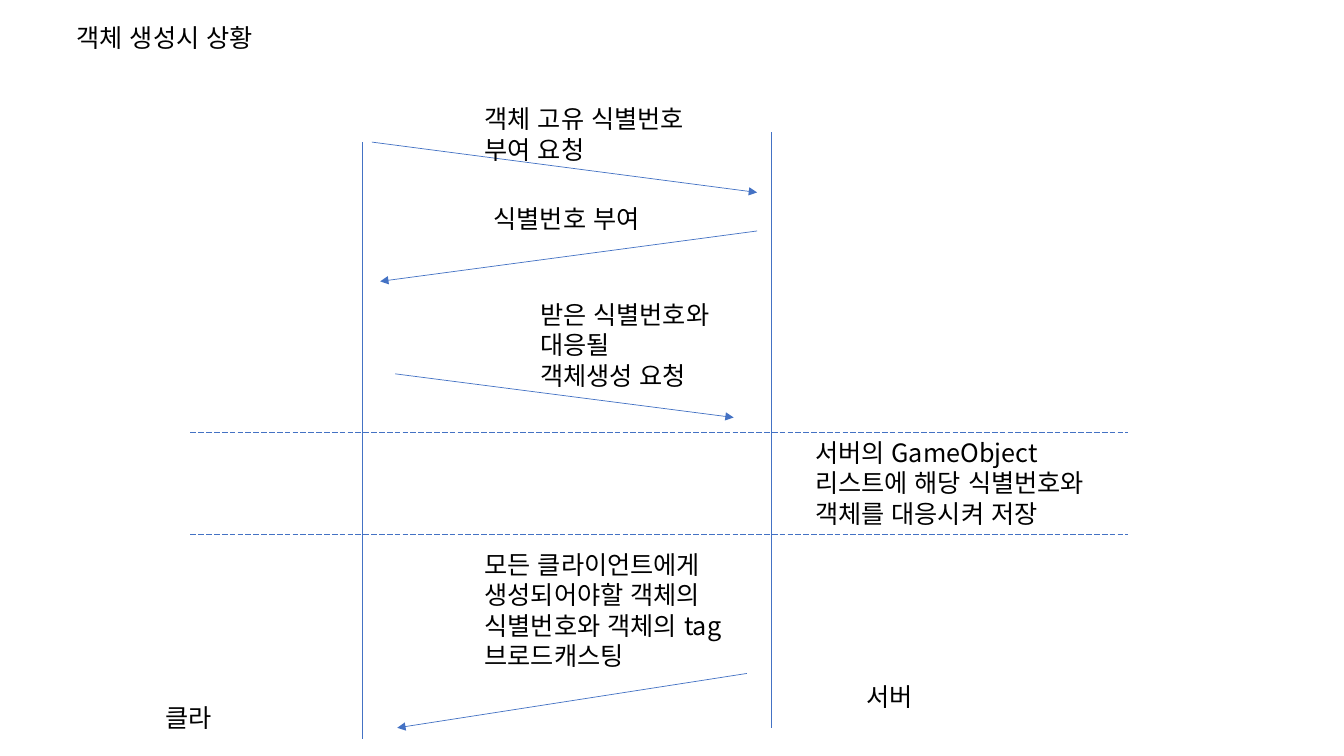
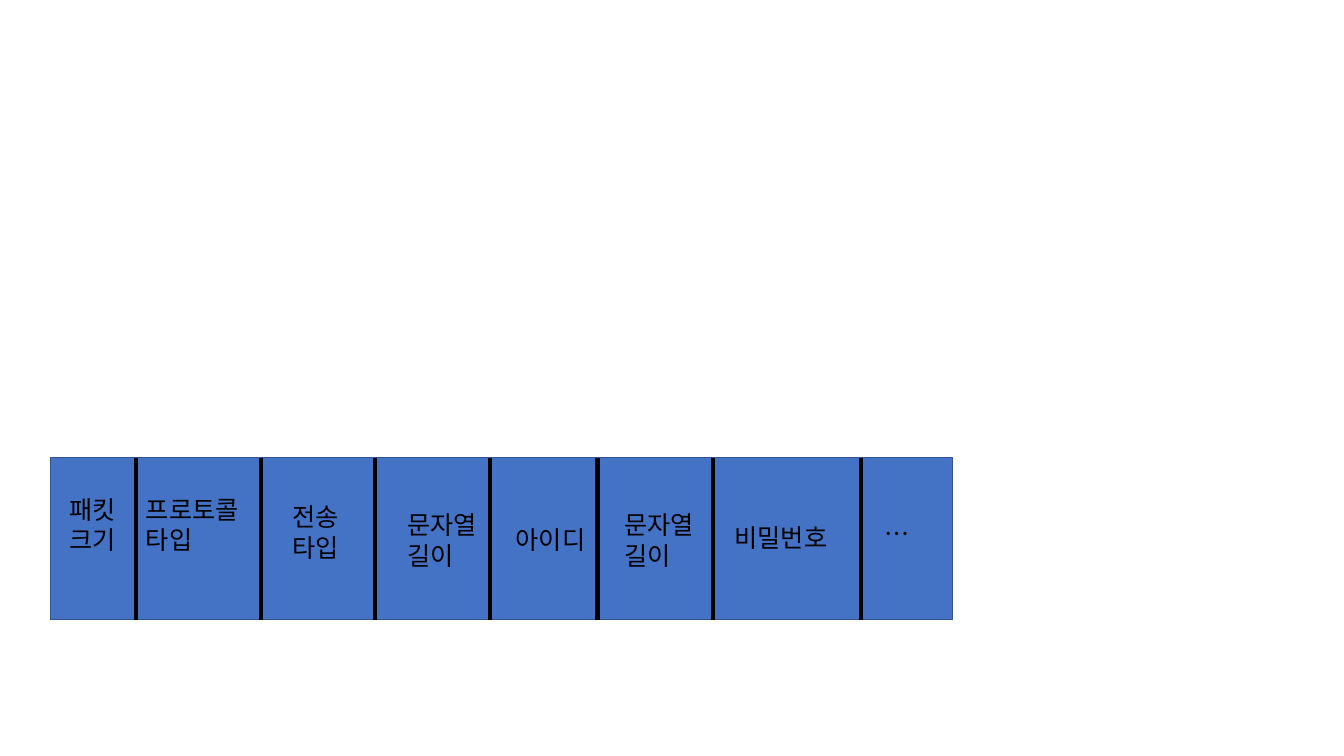
import pptx
import pptx.util
import pptx.dml.color
import pptx.enum.dml
import pptx.enum.lang
import pptx.enum.shapes
import pptx.enum.text
import pptx.oxml.ns
import lxml.etree

Cm, Pt = pptx.util.Cm, pptx.util.Pt
RGBColor = pptx.dml.color.RGBColor
BLUE = RGBColor(0x44, 0x72, 0xC4)
DARK_BLUE = RGBColor(0x32, 0x54, 0x91)
BLACK = RGBColor(0, 0, 0)
FONT = "Noto Sans CJK KR"
TEXT_FORMAT = {"name": FONT, "size": Pt(18),
               "language_id": pptx.enum.lang.MSO_LANGUAGE_ID.KOREAN}
FRAME_FORMAT = {"word_wrap": True,
                "auto_size": pptx.enum.text.MSO_AUTO_SIZE.SHAPE_TO_FIT_TEXT}
LINE_HEIGHT, PADDING = 0.76, 0.25


def apply(target, values):
    """Set every attribute in a dict of format values."""
    for name, value in values.items():
        setattr(target, name, value)


def add_child(parent, tag, **attributes):
    """Append a DrawingML element."""
    lxml.etree.SubElement(parent, pptx.oxml.ns.qn(tag), attributes)


def add_label(slide, box, text, x, y, width, lines=1):
    """Place text at an offset from the corner of the box."""
    left, top = box[:2]
    sp = slide.shapes.add_textbox(Cm(left + x), Cm(top + y), Cm(width),
                                  Cm(lines * LINE_HEIGHT + PADDING))
    tf = sp.text_frame
    apply(tf, FRAME_FORMAT)
    tf.text = text
    for p in tf.paragraphs:
        for r in p.runs:
            apply(r.font, TEXT_FORMAT)
            r.font.color.rgb = BLACK
            add_child(r.font._element, "a:ea", typeface=FONT)


def add_line(slide, box, start, end, color=BLUE, width=0.5, dash=None, arrow=False):
    """Draw a straight line between two offsets from the corner of the box."""
    left, top = box[:2]
    (x1, y1), (x2, y2) = start, end
    line = slide.shapes.add_connector(
        pptx.enum.shapes.MSO_CONNECTOR.STRAIGHT,
        Cm(left + x1), Cm(top + y1), Cm(left + x2), Cm(top + y2))
    line.line.color.rgb = color
    apply(line.line, {"width": Pt(width), "dash_style": dash})
    if arrow:
        add_child(line.line._get_or_add_ln(), "a:tailEnd", type="triangle")
    add_child(line._element.spPr, "a:effectLst")


def add_sequence(slide, box):
    """Draw the exchange between client and server."""
    width = box[2]
    lifelines = [(4.32, 1.09, 16.13), (14.63, 0.84, 15.85)]
    messages = [
        ((4.57, 1.09), (14.28, 2.36), ("객체 고유 식별번호 부여 요청", 7.16, 0, 6.25, 2)),
        ((14.28, 3.33), (4.78, 4.6), ("식별번호 부여", 7.39, 2.51, 4.88)),
        ((5.16, 6.93), (13.69, 8.03),
         ("받은 식별번호와 대응될 \n객체생성 요청", 8.56, 4.93, 4.83, 3)),
        ((14.02, 14.48), (5.21, 15.85),
         ("모든 클라이언트에게 생성되어야할 객체의 식별번호와 객체의 tag 브로드캐스팅 ",
          7.16, 11.23, 6.63, 4)),
    ]
    notes = [
        ("클라", -0.89, 15.09, 6.32),
        ("서버", 16.79, 14.55, 6.32),
        ("서버의 GameObject리스트에 해당 식별번호와 객체를 대응시켜 저장",
         15.49, 8.41, 8.43, 3),
    ]
    for x, y1, y2 in lifelines:
        add_line(slide, box, (x, y1), (x, y2))
    for start, end, label in messages:
        add_line(slide, box, start, end, arrow=True)
        add_label(slide, box, *label)
    for y in (8.41, 10.97):
        add_line(slide, box, (0, y), (width, y),
                 dash=pptx.enum.dml.MSO_LINE.LONG_DASH)
    for note in notes:
        add_label(slide, box, *note)


def add_packet(slide, box):
    """Draw the packet layout as a bar divided into fields."""
    height = box[3]
    dividers = [2.16, 5.31, 8.18, 11.07, 13.79, 16.69, 20.42]
    fields = [
        ("패킷크기", 0.23, 0.79, 1.93, 2),
        ("프로토콜 \n타입", 2.16, 0.79, 3.15, 2),
        ("전송타입", 5.84, 0.99, 2.06, 2),
        ("문자열길이", 8.74, 1.19, 2.59, 2),
        ("아이디", 11.48, 1.57, 3.53),
        ("문자열길이", 14.22, 1.19, 2.59, 2),
        ("비밀번호", 16.99, 1.5, 3.53),
        ("…", 20.78, 1.4, 3.53),
    ]
    bar = slide.shapes.add_shape(pptx.enum.shapes.MSO_SHAPE.RECTANGLE,
                                 *(Cm(length) for length in box))
    bar.shadow.inherit = False
    bar.fill.solid()
    bar.fill.fore_color.rgb = BLUE
    bar.line.color.rgb = DARK_BLUE
    bar.line.width = Pt(1)
    for x in dividers:
        add_line(slide, box, (x, 0), (x, height), BLACK, 3)
    for field in fields:
        add_label(slide, box, *field)


def main():
    """Build both slides and save them."""
    prs = pptx.Presentation()
    apply(prs, {"slide_width": Cm(33.87), "slide_height": Cm(19.05)})
    blank = prs.slide_layouts[6]

    creation = prs.slides.add_slide(blank)
    add_label(creation, (1.68, 0.43), "객체 생성시 상황", 0, 0, 12.95)
    add_sequence(creation, (4.8, 2.49, 23.62, 16.13))

    packet = prs.slides.add_slide(blank)
    add_packet(packet, (1.27, 11.53, 22.73, 4.09))

    prs.save("out.pptx")


main()
